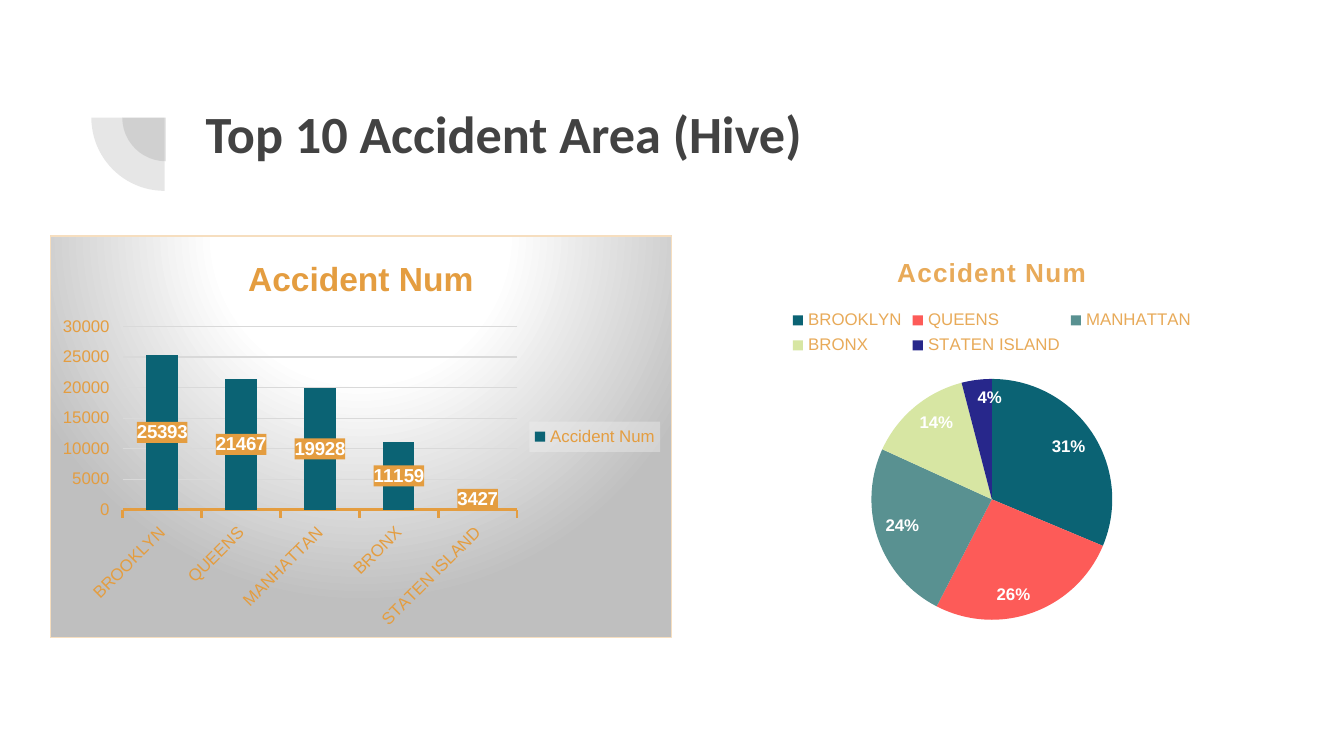
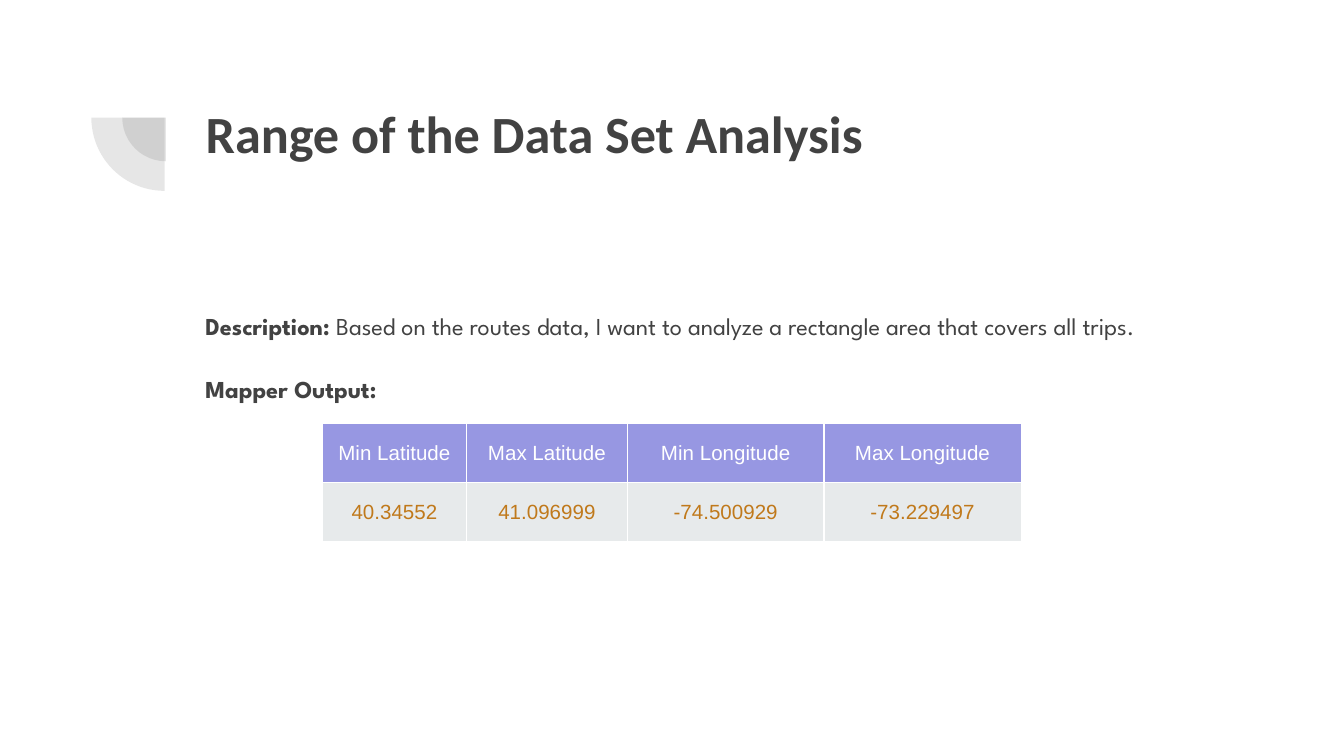
from dataclasses import dataclass

from lxml import etree
from pptx import Presentation
from pptx.chart.data import CategoryChartData
from pptx.dml.color import RGBColor
from pptx.enum.chart import XL_CHART_TYPE, XL_LABEL_POSITION, XL_LEGEND_POSITION, XL_TICK_MARK
from pptx.enum.shapes import MSO_SHAPE
from pptx.enum.text import MSO_ANCHOR, MSO_AUTO_SIZE, PP_ALIGN
from pptx.oxml import parse_xml
from pptx.oxml.ns import nsdecls, qn
from pptx.util import Inches, Pt

COLUMN, PIE = XL_CHART_TYPE.COLUMN_CLUSTERED, XL_CHART_TYPE.PIE
LABEL_CENTER, LABEL_INSIDE_END = XL_LABEL_POSITION.CENTER, XL_LABEL_POSITION.INSIDE_END
LEGEND_RIGHT, LEGEND_TOP = XL_LEGEND_POSITION.RIGHT, XL_LEGEND_POSITION.TOP
TICK_OUT = XL_TICK_MARK.OUTSIDE
LEFT, CENTER = PP_ALIGN.LEFT, PP_ALIGN.CENTER
TOP, MIDDLE = MSO_ANCHOR.TOP, MSO_ANCHOR.MIDDLE
TITLE_ONLY = 5


@dataclass(frozen=True)
class Theme:
    ink: str = "424242"
    white: str = "FFFFFF"
    orange: str = "E49D40"
    pale_orange: str = "E8AA59"
    dark_orange: str = "C0791B"
    grid: str = "D9D9D9"
    chart_border: str = "F6DEBF"
    chart_shade: str = "BFBFBF"
    legend_back: str = "F2F2F2"
    table_head: str = "9797E2"
    table_body: str = "E7EAEB"
    series: tuple = ("0B6374", "FD5B58", "599191", "D7E6A3", "27278B")
    title_font: str = "Calibri"
    body_font: str = "League Spartan"
    data_font: str = "Arial"
    title_size: float = 28
    column_title_size: float = 18
    pie_title_size: float = 14
    body_size: float = 13
    table_size: float = 11
    chart_size: float = 10
    small_size: float = 9


def style(font, name, size, color, bold=False):
    font.name, font.size, font.bold = name, Pt(size), bold
    font.color.rgb = RGBColor.from_string(color)


def solid(color, alpha=100):
    return (f'<a:solidFill><a:srgbClr val="{color}">'
            f'<a:alpha val="{alpha * 1000}"/></a:srgbClr></a:solidFill>')


def back_fill(chart_part, content):
    """Put shape properties just ahead of the text properties of a chart part."""
    properties = parse_xml(f'<c:spPr {nsdecls("c", "a")}>{content}</c:spPr>')
    chart_part.find(qn("c:txPr")).addprevious(properties)


class Deck:
    def __init__(self, theme):
        self.theme = theme
        self.prs = Presentation()
        self.prs.slide_width = Inches(10)
        self.prs.slide_height = Inches(10) * 9 // 16
        self.slide = None

    def new_slide(self, heading):
        self.slide = self.prs.slides.add_slide(self.prs.slide_layouts[TITLE_ONLY])
        self.quarter_disc(0.91, 0.55, 0.65)
        self.quarter_disc(0.68, 0.33, 1.09)
        title = self.slide.shapes.title
        title.left, title.top = Inches(1.43), Inches(0.65)
        title.width, title.height = Inches(7.69), Inches(1.09)
        frame = self.set_frame(title.text_frame)
        paragraph = frame.paragraphs[0]
        paragraph.alignment = LEFT
        self.add_run(paragraph, heading, self.theme.title_font, self.theme.title_size,
                     self.theme.ink, True)

    def quarter_disc(self, left, top, size):
        disc = self.slide.shapes.add_shape(
            MSO_SHAPE.PIE, Inches(left), Inches(top), Inches(size), Inches(size))
        disc.adjustments[0], disc.adjustments[1] = 108, 162
        disc.rotation = 270
        disc.shadow.inherit = False
        disc.line.fill.background()
        disc.fill.solid()
        disc.fill.fore_color.rgb = RGBColor.from_string(self.theme.ink)
        color = disc.fill._xPr.find(".//" + qn("a:srgbClr"))
        etree.SubElement(color, qn("a:alpha"), val="13000")

    def set_frame(self, frame):
        frame.word_wrap = True
        frame.auto_size = MSO_AUTO_SIZE.NONE
        frame.vertical_anchor = TOP
        frame.margin_left = frame.margin_right = Inches(0.1)
        frame.margin_top = frame.margin_bottom = Inches(0.1)
        return frame

    def add_run(self, paragraph, text, font, size, color, bold=False):
        run = paragraph.add_run()
        run.text = text
        style(run.font, font, size, color, bold)
        return run

    def body(self, left, top, width, height, paragraphs):
        """Each paragraph is a list of (text, bold) runs."""
        box = self.slide.shapes.add_textbox(
            Inches(left), Inches(top), Inches(width), Inches(height))
        frame = self.set_frame(box.text_frame)
        for index, runs in enumerate(paragraphs):
            paragraph = frame.add_paragraph() if index else frame.paragraphs[0]
            paragraph.line_spacing, paragraph.space_after = 1.15, Pt(16)
            for text, bold in runs:
                self.add_run(paragraph, text, self.theme.body_font, self.theme.body_size,
                             self.theme.ink, bold)

    def chart(self, kind, left, width, categories, name, values, *, color, title_size,
              legend_at, label_at, label_size):
        theme = self.theme
        data = CategoryChartData()
        data.categories = categories
        data.add_series(name, values)
        chart = self.slide.shapes.add_chart(
            kind, Inches(left), Inches(1.75), Inches(width), Inches(3), data).chart
        style(chart.font, theme.data_font, theme.chart_size, theme.dark_orange)

        chart.has_title = True
        heading = chart.chart_title.text_frame.paragraphs[0]
        run = self.add_run(heading, name, theme.data_font, title_size, color, True)
        if kind == PIE:
            run.font._rPr.set("spc", "50")

        chart.has_legend = True
        chart.legend.position = legend_at
        chart.legend.include_in_layout = False
        style(chart.legend.font, theme.data_font, theme.small_size, color)

        plot = chart.plots[0]
        plot.vary_by_categories = kind == PIE
        plot.has_data_labels = True
        labels = plot.data_labels
        labels.show_value, labels.show_percentage = kind != PIE, kind == PIE
        labels.number_format = "0%" if kind == PIE else "General"
        labels.number_format_is_linked = False
        labels.position = label_at
        style(labels.font, theme.data_font, label_size, theme.white, True)
        return chart

    def column_chart(self, left, width, categories, name, values):
        theme = self.theme
        chart = self.chart(COLUMN, left, width, categories, name, values,
                           color=theme.orange, title_size=theme.column_title_size,
                           legend_at=LEGEND_RIGHT, label_at=LABEL_CENTER,
                           label_size=theme.chart_size)
        plot = chart.plots[0]
        plot.gap_width = 150
        bars = plot.series[0].format.fill
        bars.solid()
        bars.fore_color.rgb = RGBColor.from_string(theme.series[0])

        for axis in (chart.category_axis, chart.value_axis):
            axis.major_tick_mark = TICK_OUT
            style(axis.tick_labels.font, theme.data_font, theme.small_size, theme.orange)
        names, counts = chart.category_axis, chart.value_axis
        names.format.line.color.rgb = RGBColor.from_string(theme.orange)
        names.format.line.width = Pt(1.5)
        slant = names._element.find(qn("c:txPr")).find(qn("a:bodyPr"))
        slant.set("rot", "-2700000")
        counts.format.line.fill.background()
        counts.has_major_gridlines = True
        grid = counts.major_gridlines.format.line
        grid.color.rgb, grid.width = RGBColor.from_string(theme.grid), Pt(0.75)

        stops = "".join(
            f'<a:gs pos="{at * 1000}"><a:srgbClr val="{shade}"/></a:gs>'
            for at, shade in ((0, theme.white), (39, theme.white), (100, theme.chart_shade)))
        back_fill(chart.element,
                  f'<a:gradFill><a:gsLst>{stops}</a:gsLst><a:path path="circle">'
                  '<a:fillToRect l="50000" t="-80000" r="50000" b="180000"/></a:path>'
                  f'</a:gradFill><a:ln w="{Pt(0.75)}">{solid(theme.chart_border)}</a:ln>')
        back_fill(chart.element.find(".//" + qn("c:legend")), solid(theme.legend_back, 39))
        back_fill(plot.data_labels._element, solid(theme.orange))

    def pie_chart(self, left, width, categories, name, values):
        theme = self.theme
        chart = self.chart(PIE, left, width, categories, name, values,
                           color=theme.pale_orange, title_size=theme.pie_title_size,
                           legend_at=LEGEND_TOP, label_at=LABEL_INSIDE_END,
                           label_size=theme.small_size)
        for index, color in enumerate(theme.series):
            slice_fill = chart.plots[0].series[0].points[index].format.fill
            slice_fill.solid()
            slice_fill.fore_color.rgb = RGBColor.from_string(color)

    def table(self, left, top, column_widths, row_height, rows):
        theme = self.theme
        table = self.slide.shapes.add_table(
            len(rows), len(column_widths), Inches(left), Inches(top),
            Inches(sum(column_widths)), Inches(row_height * len(rows))).table
        table.first_row = table.horz_banding = False
        for column, width in zip(table.columns, column_widths):
            column.width = Inches(width)
        for row_index, texts in enumerate(rows):
            table.rows[row_index].height = Inches(row_height)
            fill, ink = ((theme.table_body, theme.dark_orange) if row_index
                         else (theme.table_head, theme.white))
            for column_index, text in enumerate(texts):
                self.fill_cell(table.cell(row_index, column_index), text, fill, ink)

    def fill_cell(self, cell, text, fill, ink):
        cell.fill.solid()
        cell.fill.fore_color.rgb = RGBColor.from_string(fill)
        cell.vertical_anchor = MIDDLE
        cell.margin_left = cell.margin_right = cell.margin_top = Inches(0.01)
        cell.margin_bottom = 0
        paragraph = cell.text_frame.paragraphs[0]
        paragraph.alignment = CENTER
        self.add_run(paragraph, text, self.theme.data_font, self.theme.table_size, ink)
        properties = cell._tc.get_or_add_tcPr()
        for index, side in enumerate(("lnL", "lnR", "lnT", "lnB")):
            properties.insert(index, parse_xml(
                f'<a:{side} {nsdecls("a")} w="{Pt(1)}">{solid(self.theme.white)}</a:{side}>'))


def main():
    deck = Deck(Theme())

    boroughs = ["BROOKLYN", "QUEENS", "MANHATTAN", "BRONX", "STATEN ISLAND"]
    deck.new_slide("Top 10 Accident Area (Hive)")
    deck.column_chart(0.37, 4.63, boroughs, "Accident Num",
                      (25393, 21467, 19928, 11159, 3427))
    deck.pie_chart(5, 4.76, boroughs, "Accident Num", (31, 26, 24, 14, 4))

    deck.new_slide("Range of the Data Set Analysis")
    deck.body(1.43, 2.18, 7.69, 2.78, [
        [("Description: ", True),
         ("Based on the routes data, I want to analyze a rectangle area that covers all trips.",
          False)],
        [("Mapper Output:", True)],
    ])
    deck.table(2.4, 3.15, (1.07, 1.2, 1.46, 1.47), 0.44, [
        ("Min Latitude", "Max Latitude", "Min Longitude", "Max Longitude"),
        ("40.34552", "41.096999", "-74.500929", "-73.229497"),
    ])

    deck.prs.save("out.pptx")


if __name__ == "__main__":
    main()
